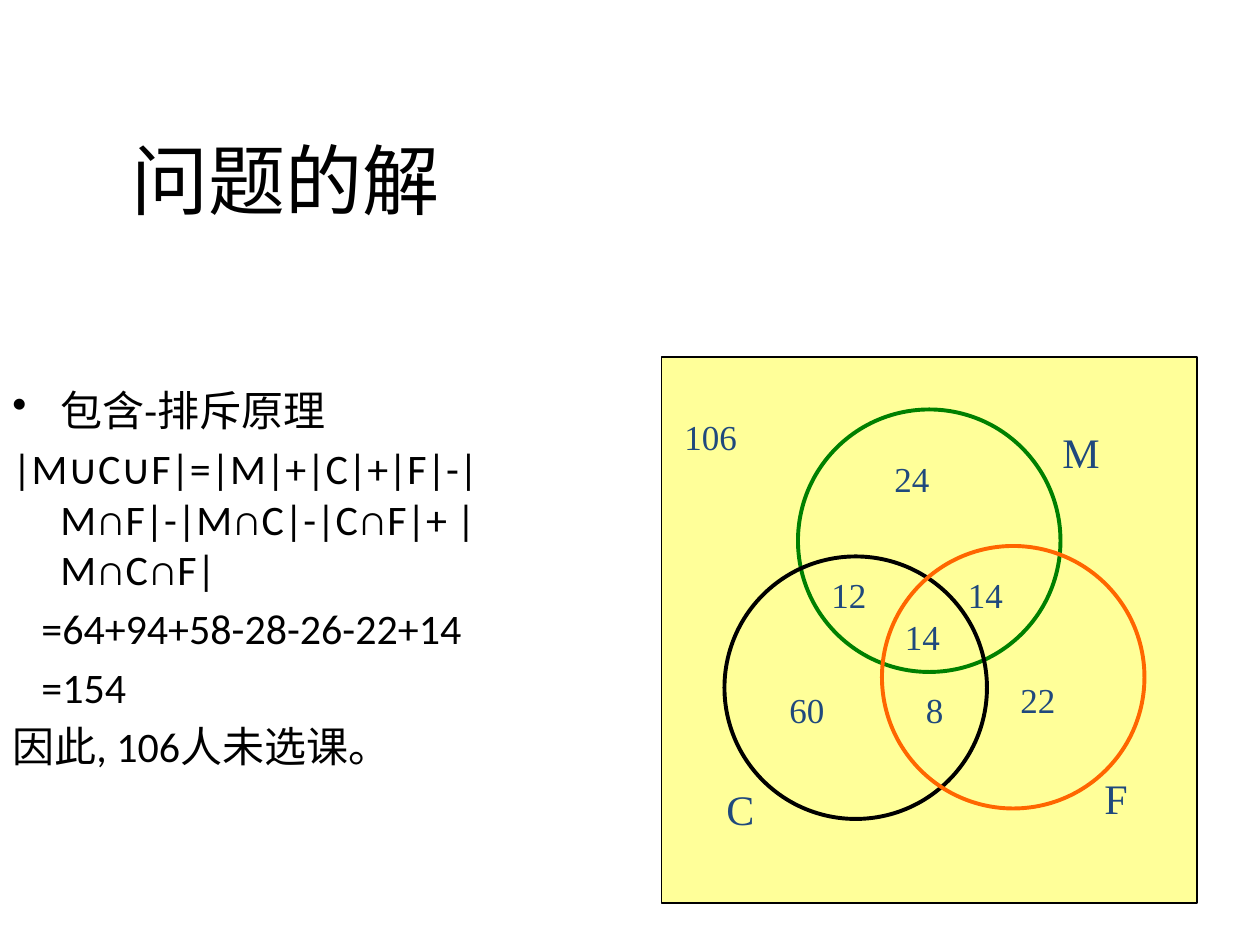
from pptx import Presentation
from pptx.dml.color import RGBColor
from pptx.enum.shapes import MSO_SHAPE
from pptx.enum.text import MSO_ANCHOR, PP_ALIGN
from pptx.oxml.ns import qn
from pptx.util import Inches, Pt

RECTANGLE, OVAL = MSO_SHAPE.RECTANGLE, MSO_SHAPE.OVAL
TOP, MIDDLE = MSO_ANCHOR.TOP, MSO_ANCHOR.MIDDLE
LEFT, CENTER = PP_ALIGN.LEFT, PP_ALIGN.CENTER

COLORS = {"text": "000000", "label": "1F497D", "universe": "FFFF99",
          "M": "008000", "C": "000000", "F": "FF6600"}
COLUMNS, ROWS = 120, 90  # grid of the page, square cells
CELL = Inches(10) // COLUMNS

# Boxes on the page: column, row, columns wide, rows high
TITLE_BOX = (0, 12, 54.4, 10)
SOLUTION_BOX = (0, 36, 51, 43)
VENN_BOX = (63, 34, 51, 52)

# Text, left margin and first-line indent in inches, bullet
SOLUTION = [
    ("包含-排斥原理", 0.38, -0.38, "•"),
    ("|M∪C∪F|=|M|+|C|+|F|-|M∩F|-|M∩C|-|C∩F|+ |M∩C∩F|", 0.38, -0.38, None),
    ("=64+94+58-28-26-22+14", 0.23, 0, None),
    ("=154", 0.23, 0, None),
    ("因此, 106人未选课。", 0.38, -0.38, None),
]

# Cells inside the Venn box: set, circle corner, name corner
DIAMETER = 25
SETS = [("M", (13, 5), (37, 6)),
        ("C", (6, 19), (5, 40)),
        ("F", (21, 18), (41, 39))]
COUNTS = [("14", 22, 24), ("14", 28, 20), ("12", 15, 20), ("8", 24, 31),
          ("24", 21, 9), ("60", 11, 31), ("22", 33, 30), ("106", 1, 5)]


def cells(*counts):
    return [int(count * CELL) for count in counts]


def color(name):
    return RGBColor.from_string(COLORS[name])


def style(para, size, font, color_name, align=LEFT):
    para.alignment = align
    para.font.size = Pt(size)
    for span in para.runs:
        span.font.size = Pt(size)
        span.font.name = font
        span.font.color.rgb = color(color_name)


def add_text_frame(page, box, anchor=TOP):
    frame = page.shapes.add_textbox(*cells(*box)).text_frame
    frame.word_wrap = True
    frame.vertical_anchor = anchor
    return frame


def add_outline(page, kind, box, line, width, fill=None):
    shape = page.shapes.add_shape(kind, *cells(*box))
    shape.shadow.inherit = False
    shape.line.color.rgb = color(line)
    shape.line.width = Pt(width)
    if fill:
        shape.fill.solid()
        shape.fill.fore_color.rgb = color(fill)
    else:
        shape.fill.background()


def add_label(page, text, box, size):
    para = add_text_frame(page, box).paragraphs[0]
    para.text = text
    style(para, size, "Times New Roman", "label")


def add_title(page, box):
    para = add_text_frame(page, box, MIDDLE).paragraphs[0]
    para.text = "问题的解"
    style(para, 44, "Calibri", "text", CENTER)


def add_solution(page, box):
    frame = add_text_frame(page, box)
    for number, (text, margin, indent, bullet) in enumerate(SOLUTION):
        para = frame.add_paragraph() if number else frame.paragraphs[0]
        para.text = text
        properties = para._p.get_or_add_pPr()
        properties.set("marL", str(Inches(margin)))
        properties.set("indent", str(Inches(indent)))
        if number:
            para.space_before = Pt(4.8)
        if bullet:
            mark = properties.makeelement(qn("a:buChar"), {"char": bullet})
            properties.append(mark)
        style(para, 24, "Calibri", "text")


def add_venn(page, box):
    left, top = box[:2]
    add_outline(page, RECTANGLE, box, "text", 0.75, "universe")
    for name, (column, row), _ in SETS:
        circle = (left + column, top + row, DIAMETER, DIAMETER)
        add_outline(page, OVAL, circle, name, 2.25)
    for name, _, (column, row) in SETS:
        add_label(page, name, (left + column, top + row, 6, 6), 24)
    for count, column, row in COUNTS:
        add_label(page, count, (left + column, top + row, 12, 5.2), 20)


def main():
    deck = Presentation()
    deck.slide_width, deck.slide_height = cells(COLUMNS, ROWS)
    page = deck.slides.add_slide(deck.slide_layouts[6])
    add_venn(page, VENN_BOX)
    add_title(page, TITLE_BOX)
    add_solution(page, SOLUTION_BOX)
    deck.save("out.pptx")


if __name__ == "__main__":
    main()
